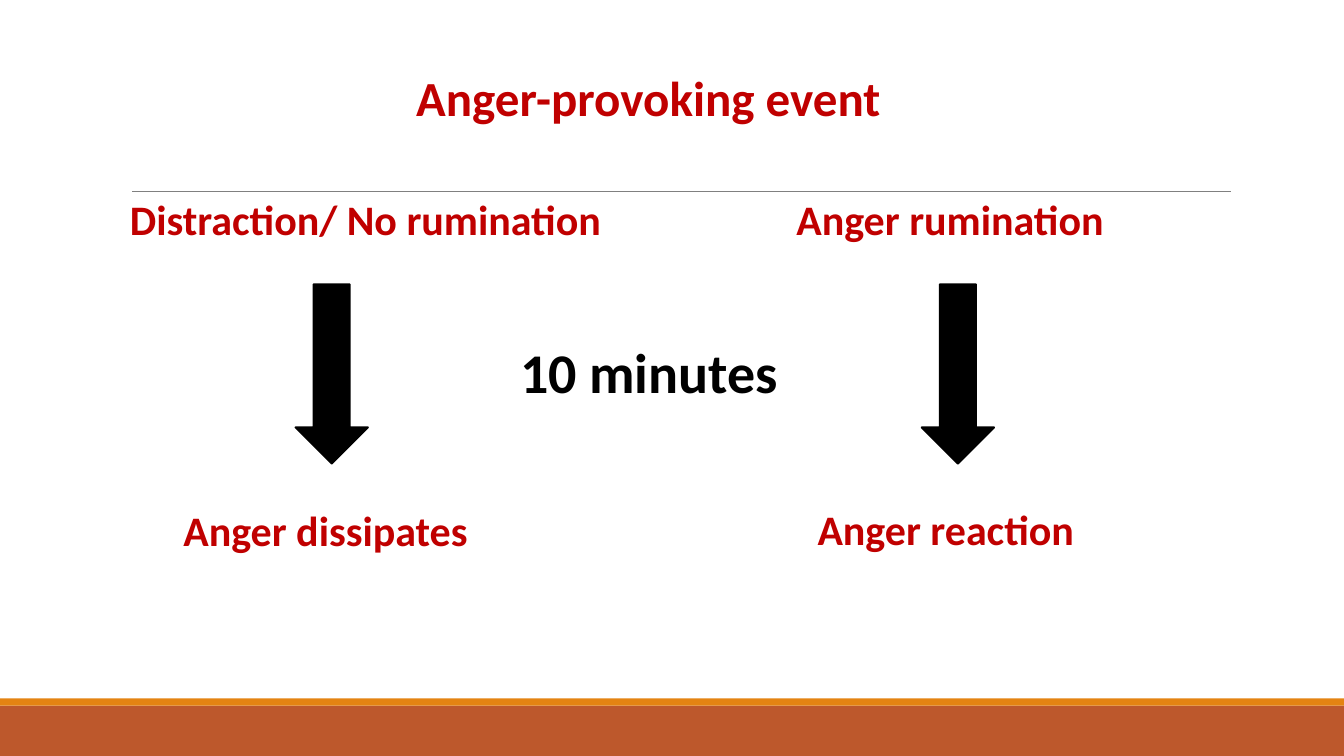
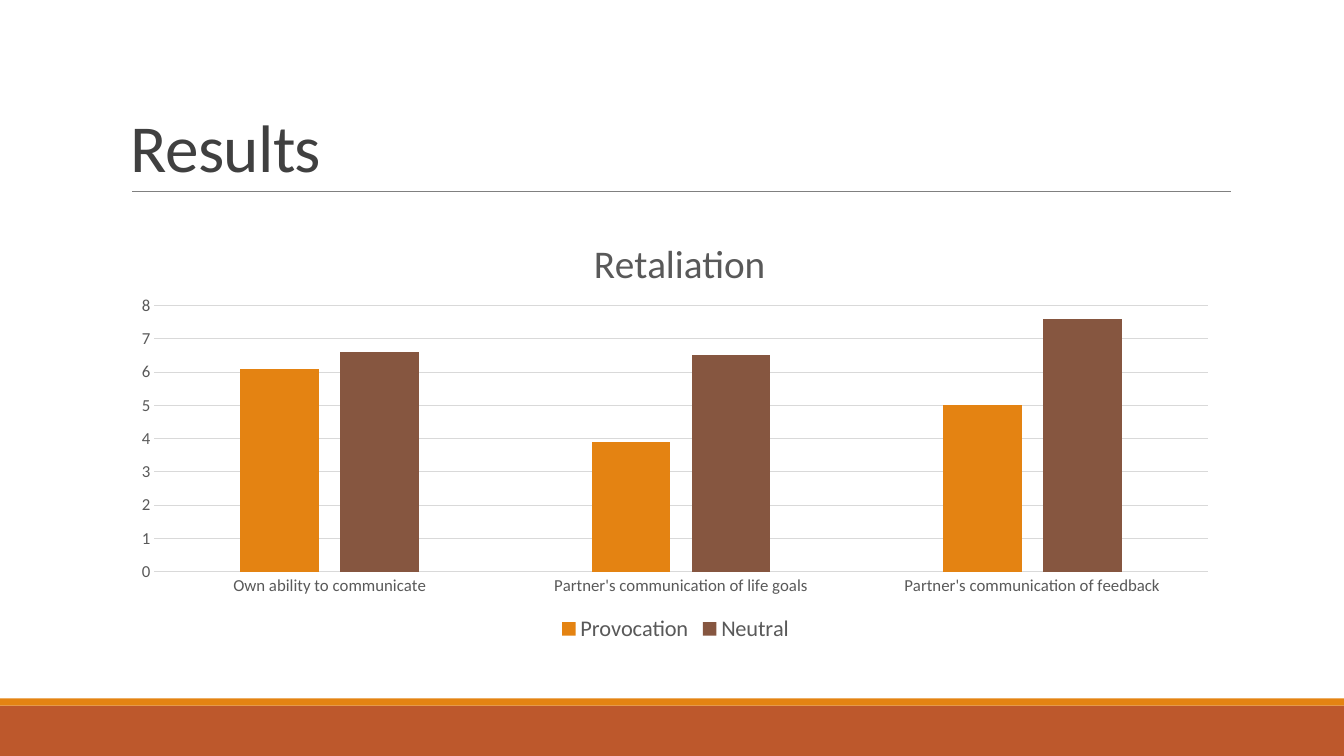
from dataclasses import dataclass

import pptx
import pptx.chart.data
import pptx.dml.color
import pptx.enum.chart
import pptx.enum.shapes
import pptx.enum.text
import pptx.oxml.xmlchemy
import pptx.util
from lxml import etree

Inches = pptx.util.Inches
Pt = pptx.util.Pt
SHAPE = pptx.enum.shapes.MSO_SHAPE


def rgb(code):
    return pptx.dml.color.RGBColor.from_string(code)


@dataclass(frozen=True)
class Theme:
    font: str = "Calibri"
    band: str = "BD582C"
    stripe: str = "E48312"
    rule: str = "808080"
    title: str = "404040"
    emphasis: str = "C00000"
    ink: str = "000000"
    chart_text: str = "595959"
    grid: str = "D9D9D9"
    series: tuple = ("E48312", "865640")
    title_size: int = 48
    event_size: int = 35
    label_size: int = 30
    duration_size: int = 40
    chart_title_size: int = 28
    legend_size: int = 16
    axis_size: int = 12


class Deck:
    def __init__(self, theme):
        self.theme = theme
        self.presentation = pptx.Presentation()
        self.presentation.slide_width = Inches(13.33)
        self.presentation.slide_height = Inches(7.5)
        self.slide = None

    def new_slide(self):
        """Start a slide with the shared bands and the rule under the title."""
        blank = self.presentation.slide_layouts[6]
        self.slide = self.presentation.slides.add_slide(blank)
        self.shape(SHAPE.RECTANGLE, 0, 7, 13.33, 0.5, self.theme.band)
        self.shape(SHAPE.RECTANGLE, 0, 6.93, 13.33, 0.07, self.theme.stripe)
        self.rule(1.31, 12.21, 1.9)

    def shape(self, preset, left, top, width, height, color, outline=None):
        shape = self.slide.shapes.add_shape(
            preset, Inches(left), Inches(top), Inches(width), Inches(height))
        shape.shadow.inherit = False
        shape.fill.solid()
        shape.fill.fore_color.rgb = rgb(color)
        if outline:
            shape.line.color.rgb = rgb(color)
            shape.line.width = Pt(outline)
        else:
            shape.line.fill.background()

    def rule(self, left, right, y):
        line = self.slide.shapes.add_connector(
            pptx.enum.shapes.MSO_CONNECTOR.STRAIGHT,
            Inches(left), Inches(y), Inches(right), Inches(y))
        line.line.color.rgb = rgb(self.theme.rule)
        line.line.width = Pt(0.5)
        etree.SubElement(line._element.spPr, pptx.oxml.ns.qn("a:effectLst"))

    def style(self, font, size, color, bold=False):
        font.name = self.theme.font
        font.size = Pt(size)
        font.bold = bold
        font.color.rgb = rgb(color)

    def text(self, words, left, top, width, height, size, color, bold=True):
        frame = self.slide.shapes.add_textbox(
            Inches(left), Inches(top), Inches(width), Inches(height)).text_frame
        frame.word_wrap = True
        frame.text = words
        self.style(frame.paragraphs[0].font, size, color, bold)
        return frame

    def label(self, words, left, top, width):
        self.text(words, left, top, width, 0.61,
                  self.theme.label_size, self.theme.emphasis)

    def title(self, words):
        frame = self.text(words, 1.2, 0.31, 11, 1.59,
                          self.theme.title_size, self.theme.title, bold=False)
        frame.vertical_anchor = pptx.enum.text.MSO_ANCHOR.BOTTOM
        frame.paragraphs[0].line_spacing = 0.85
        frame.paragraphs[0].runs[0]._r.get_or_add_rPr().set("spc", "-50")

    def column_chart(self, heading, categories, series, left, top, width, height):
        theme = self.theme
        data = pptx.chart.data.CategoryChartData()
        data.categories = categories
        for name, values in series.items():
            data.add_series(name, values)
        chart = self.slide.shapes.add_chart(
            pptx.enum.chart.XL_CHART_TYPE.COLUMN_CLUSTERED,
            Inches(left), Inches(top), Inches(width), Inches(height), data).chart
        self.style(chart.font, theme.axis_size, theme.chart_text)

        chart.has_title = True
        chart.chart_title.include_in_layout = False
        chart.chart_title.text_frame.text = heading
        self.style(chart.chart_title.text_frame.paragraphs[0].font,
                   theme.chart_title_size, theme.chart_text)

        chart.has_legend = True
        chart.legend.position = pptx.enum.chart.XL_LEGEND_POSITION.BOTTOM
        chart.legend.include_in_layout = False
        self.style(chart.legend.font, theme.legend_size, theme.chart_text)

        for axis in (chart.category_axis, chart.value_axis):
            axis.major_tick_mark = pptx.enum.chart.XL_TICK_MARK.NONE
            axis.minor_tick_mark = pptx.enum.chart.XL_TICK_MARK.NONE
            self.style(axis.tick_labels.font, theme.axis_size, theme.chart_text)
        chart.value_axis.minimum_scale = 0
        chart.value_axis.maximum_scale = 8
        chart.value_axis.major_unit = 1
        chart.value_axis.format.line.fill.background()
        for line in (chart.category_axis.format.line,
                     chart.value_axis.major_gridlines.format.line):
            line.color.rgb = rgb(theme.grid)
            line.width = Pt(0.75)

        plot = chart.plots[0]
        plot.vary_by_categories = False
        plot.gap_width = 219
        plot.overlap = -27
        for columns, color in zip(plot.series, theme.series):
            columns.format.fill.solid()
            columns.format.fill.fore_color.rgb = rgb(color)

        title_part = chart.element.xpath("c:chart/c:title")[0]
        plot_part = chart.element.xpath("c:chart/c:plotArea")[0]
        place(title_part, 1, x=0.42, y=0.06)
        place(plot_part, 0, x=0.03, y=0.23, w=0.95, h=0.6)


def place(part, index, **fractions):
    """Fix a chart part's position, in fractions of the chart's size."""
    qn = pptx.oxml.ns.qn
    for old in part.findall(qn("c:layout")):
        part.remove(old)
    layout = etree.Element(qn("c:layout"))
    manual = etree.SubElement(layout, qn("c:manualLayout"))
    if "w" in fractions:
        etree.SubElement(manual, qn("c:layoutTarget")).set("val", "inner")
    for side in ("x", "y"):
        etree.SubElement(manual, qn(f"c:{side}Mode")).set("val", "edge")
    for side, value in fractions.items():
        etree.SubElement(manual, qn(f"c:{side}")).set("val", str(value))
    part.insert(index, layout)


def add_rumination_slide(deck):
    theme = deck.theme
    deck.new_slide()
    deck.text("Anger-provoking event", 4.03, 0.62, 6.67, 0.69,
              theme.event_size, theme.emphasis)
    deck.label("Distraction/ No rumination", 1.19, 1.87, 6.17)
    deck.label("Anger rumination", 7.8, 1.87, 4.12)
    deck.label("Anger dissipates", 1.72, 4.96, 3.71)
    deck.label("Anger reaction", 8.01, 4.95, 3.91)
    for arrow_left in (2.93, 9.14):
        deck.shape(SHAPE.DOWN_ARROW, arrow_left, 2.82, 0.72, 1.78,
                   theme.ink, outline=1.25)
    deck.text("10 minutes", 5.06, 3.3, 3.2, 0.77,
              theme.duration_size, theme.ink)


def add_results_slide(deck):
    deck.new_slide()
    deck.title("Results")
    deck.column_chart(
        "Retaliation",
        ("Own ability to communicate",
         "Partner's communication of life goals",
         "Partner's communication of feedback"),
        {"Provocation": (6.1, 3.9, 5), "Neutral": (6.6, 6.5, 7.6)},
        1.2, 2.02, 11, 4.4)


def main():
    deck = Deck(Theme())
    add_rumination_slide(deck)
    add_results_slide(deck)
    deck.presentation.save("out.pptx")


if __name__ == "__main__":
    main()
